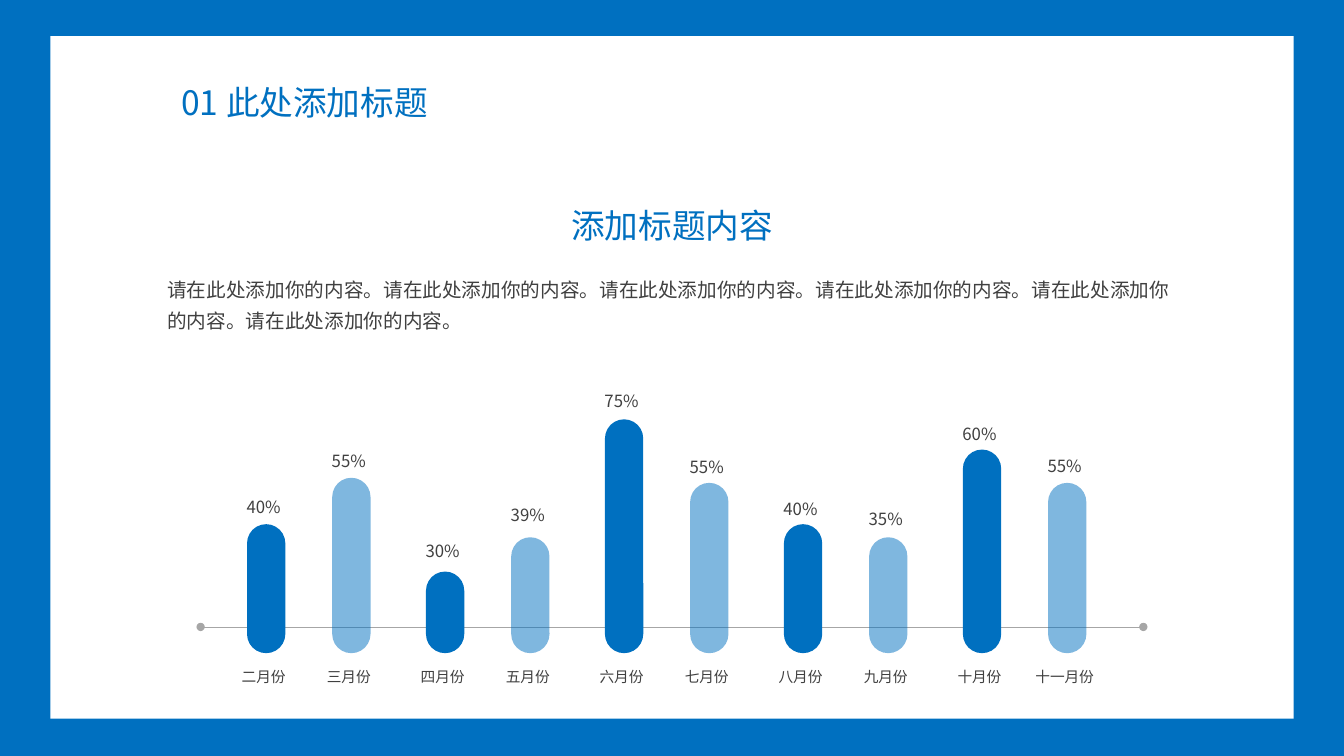
import pptx
import pptx.dml.color
import pptx.enum.shapes
import pptx.enum.text
import pptx.oxml.ns
import pptx.util
from lxml import etree

Inches = pptx.util.Inches
RGBColor = pptx.dml.color.RGBColor
SHAPE = pptx.enum.shapes.MSO_SHAPE
ALIGN = pptx.enum.text.PP_ALIGN
qn = pptx.oxml.ns.qn

BLUE = RGBColor(0x00, 0x70, 0xC0)
WHITE = RGBColor(0xFF, 0xFF, 0xFF)
DARK = RGBColor(0x40, 0x40, 0x40)
GREY = RGBColor(0xA6, 0xA6, 0xA6)
FONT = "Noto Sans CJK SC"

MONTHS = [
    ("二月份", "40%", 5.2, 4.88),
    ("三月份", "55%", 4.74, 4.42),
    ("四月份", "30%", 5.67, 5.32),
    ("五月份", "39%", 5.33, 4.96),
    ("六月份", "75%", 4.16, 3.83),
    ("七月份", "55%", 4.79, 4.48),
    ("八月份", "40%", 5.2, 4.9),
    ("九月份", "35%", 5.33, 5.0),
    ("十月份", "60%", 4.46, 4.15),
    ("十一月份", "55%", 4.79, 4.47),
]


def add_text(s, box, text, size, color, align=ALIGN.LEFT, spacing=None, inset=True):
    """Add a wrapped one-paragraph text box."""
    tf = s.shapes.add_textbox(*map(Inches, box)).text_frame
    tf.word_wrap = True
    tf.auto_size = pptx.enum.text.MSO_AUTO_SIZE.SHAPE_TO_FIT_TEXT
    if not inset:
        for side in ("left", "top", "right", "bottom"):
            setattr(tf, f"margin_{side}", 0)
    p = tf.paragraphs[0]
    for name, value in {"alignment": align, "line_spacing": spacing}.items():
        setattr(p, name, value)
    r = p.add_run()
    r.text = text
    for name, value in {"name": FONT, "size": pptx.util.Pt(size)}.items():
        setattr(r.font, name, value)
    r.font.color.rgb = color
    etree.SubElement(r._r.get_or_add_rPr(), qn("a:ea"), typeface=FONT)


def add_block(s, kind, box, color, alpha=100):
    """Add a borderless filled shape with the given opacity in percent."""
    sp = s.shapes.add_shape(kind, *map(Inches, box))
    sp.shadow.inherit = False
    sp.line.fill.background()
    sp.fill.solid()
    sp.fill.fore_color.rgb = color
    if alpha < 100:
        clr = sp._element.spPr.find(".//" + qn("a:srgbClr"))
        etree.SubElement(clr, qn("a:alpha"), val=str(alpha * 1000))
    return sp


def add_axis(s, left, right, y):
    """Draw the grey baseline with a dot at each end."""
    line = s.shapes.add_connector(
        pptx.enum.shapes.MSO_CONNECTOR.STRAIGHT, *map(Inches, (left, y, right, y)))
    line.line.color.rgb = GREY
    line.line.width = pptx.util.Pt(0.5)
    for end in ("a:headEnd", "a:tailEnd"):
        etree.SubElement(line.line._get_or_add_ln(), qn(end), type="oval")
    etree.SubElement(line._element.spPr, qn("a:effectLst"))


def add_header(s, box):
    """Write the section number and title."""
    add_text(s, box, "01 此处添加标题", 24, BLUE)


def add_intro(s, box):
    """Write the centred heading and the paragraph below it."""
    left, top, width, height = box
    add_text(s, (left + (width - 2.68) / 2, top, 2.68, 0.5), "添加标题内容",
             24, BLUE, ALIGN.CENTER)
    add_text(s, (left, top + 0.71, width, height - 0.71),
             "请在此处添加你的内容。" * 6, 14, DARK, spacing=1.3, inset=False)


def add_bars(s, box):
    """Draw the monthly bars in pairs with their values and names."""
    left, top, width, height = box
    bottom = top + height - 0.38
    add_axis(s, left, left + width, bottom - 0.26)
    for i, (month, value, bar_top, value_top) in enumerate(MONTHS):
        pair, second = divmod(i, 2)
        x = left + 0.46 + pair * 1.775 + second * 0.845
        bar = add_block(s, SHAPE.ROUNDED_RECTANGLE, (x, bar_top, 0.38, bottom - bar_top),
                        BLUE, 50 if second else 100)
        bar.adjustments[0] = 0.5
        label_x = x - 0.3
        add_text(s, (label_x, bottom + 0.1, 0.93, 0.28), month, 10.5, DARK, ALIGN.CENTER)
        add_text(s, (label_x, value_top, 0.93, 0.3), value, 12, DARK, ALIGN.CENTER)


def main():
    """Build the slide and save it."""
    prs = pptx.Presentation()
    prs.slide_width, prs.slide_height = Inches(13.33), Inches(7.5)
    s = prs.slides.add_slide(prs.slide_layouts[6])
    s.background.fill.solid()
    s.background.fill.fore_color.rgb = BLUE
    add_block(s, SHAPE.RECTANGLE, (0.5, 0.36, 12.33, 6.77), WHITE)
    add_header(s, (1.7, 0.76, 2.88, 0.5))
    add_bars(s, (1.99, 3.83, 9.35, 3.03))
    add_intro(s, (1.66, 1.98, 10.01, 1.3))
    prs.save("out.pptx")


if __name__ == "__main__":
    main()
